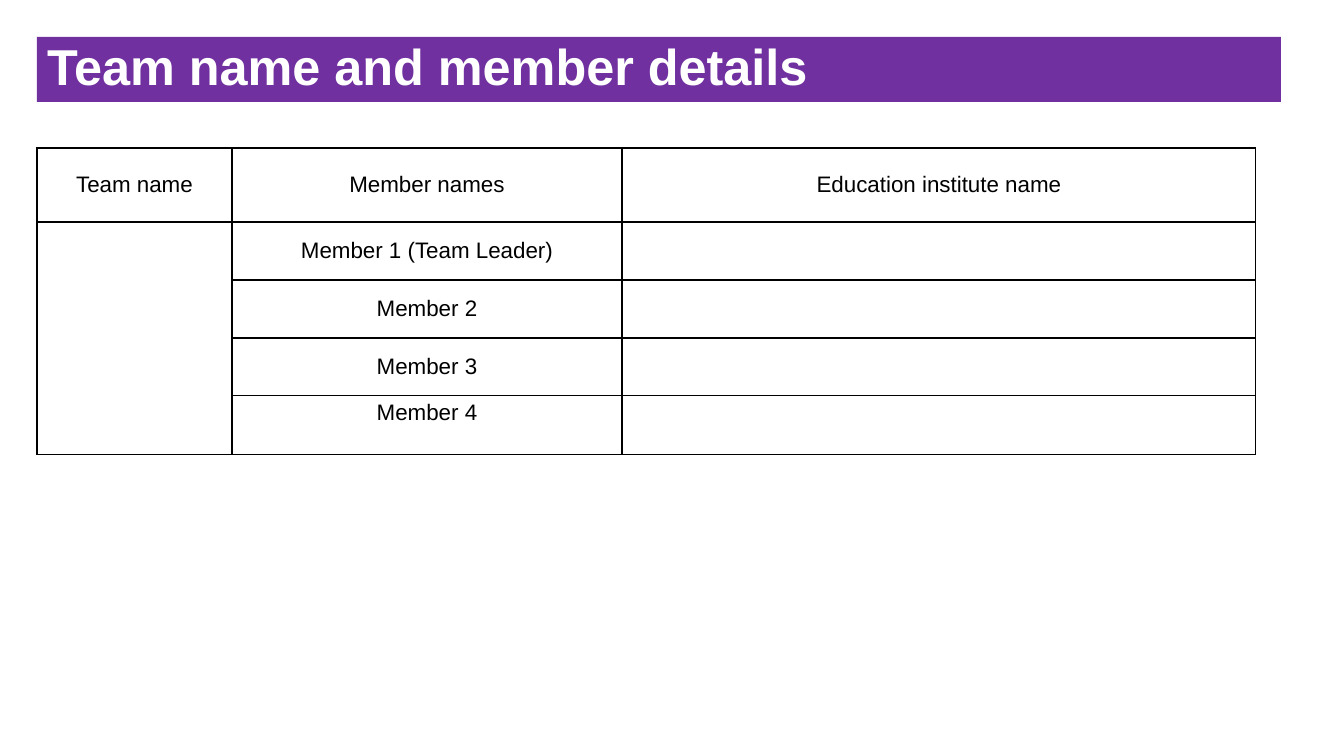
from lxml.etree import SubElement
from pptx import Presentation
from pptx.dml.color import RGBColor
from pptx.enum.text import MSO_ANCHOR as Anchor, MSO_AUTO_SIZE as AutoSize, PP_ALIGN as Align
from pptx.oxml.ns import qn
from pptx.util import Emu, Pt

TITLE = "Team name and member details"
ROWS = [
    ("Team name", "Member names", "Education institute name"),
    ("", "Member 1 (Team Leader)", ""),
    ("", "Member 2", ""),
    ("", "Member 3", ""),
    ("", "Member 4", ""),
]
COLORS = {"banner": "7030A0", "title": "FFFFFF", "text": "000000", "border": "000000"}
FONT = "Arial"

SLIDE_SIZE = (1344, 756)
TITLE_BOX = (37, 37, 1244, 65)
TABLE_ORIGIN = (37, 148)
COLUMN_WIDTHS = (195, 390, 634)
ROW_HEIGHTS = (74, 58, 58, 58, 59)
LAST_MEMBER_TOP = 4
EMU_PER_PX = 914400 / 100.8


def px(length):
    return Emu(round(length * EMU_PER_PX))


def format_text(paragraph, size, color, align, bold=False):
    paragraph.alignment = align
    for run in paragraph.runs:
        run.font.name = FONT
        run.font.size = Pt(size)
        run.font.bold = bold
        run.font.color.rgb = RGBColor.from_string(COLORS[color])


def add_borders(cell):
    """Draw a 1 pt line on all four sides; lines must precede the cell fill."""
    properties = cell._tc.get_or_add_tcPr()
    for side in ("a:lnL", "a:lnR", "a:lnT", "a:lnB"):
        line = SubElement(properties, qn(side), w=str(Pt(1)))
        fill = SubElement(line, qn("a:solidFill"))
        SubElement(fill, qn("a:srgbClr"), val=COLORS["border"])


def format_title(title):
    title.left, title.top, title.width, title.height = map(px, TITLE_BOX)
    title.fill.solid()
    title.fill.fore_color.rgb = RGBColor.from_string(COLORS["banner"])
    frame = title.text_frame
    frame.text = TITLE
    frame.word_wrap = True
    frame.auto_size = AutoSize.NONE
    frame.vertical_anchor = Anchor.MIDDLE
    frame.paragraphs[0].line_spacing = 0.9
    format_text(frame.paragraphs[0], 36, "title", Align.LEFT, bold=True)


def add_member_table(slide):
    size = (sum(COLUMN_WIDTHS), sum(ROW_HEIGHTS))
    table = slide.shapes.add_table(
        len(ROWS), len(COLUMN_WIDTHS), *map(px, TABLE_ORIGIN + size)).table
    table.first_row = table.horz_banding = False
    for column, width in zip(table.columns, COLUMN_WIDTHS):
        column.width = px(width)
    for row, height, texts in zip(table.rows, ROW_HEIGHTS, ROWS):
        row.height = px(height)
        for cell, text in zip(row.cells, texts):
            add_borders(cell)
            cell.fill.background()
            cell.margin_left = cell.margin_right = 0
            cell.margin_top = cell.margin_bottom = 0
            cell.vertical_anchor = Anchor.MIDDLE
            cell.text_frame.text = text
            format_text(cell.text_frame.paragraphs[0], 16, "text", Align.CENTER)
    table.cell(1, 0).merge(table.cell(len(ROWS) - 1, 0))
    last_member = table.cell(len(ROWS) - 1, 1)
    last_member.vertical_anchor = Anchor.TOP
    last_member.margin_top = px(LAST_MEMBER_TOP)


def main():
    presentation = Presentation()
    presentation.slide_width, presentation.slide_height = map(px, SLIDE_SIZE)
    slide = presentation.slides.add_slide(presentation.slide_layouts[5])
    format_title(slide.shapes.title)
    add_member_table(slide)
    presentation.save("out.pptx")


if __name__ == "__main__":
    main()
